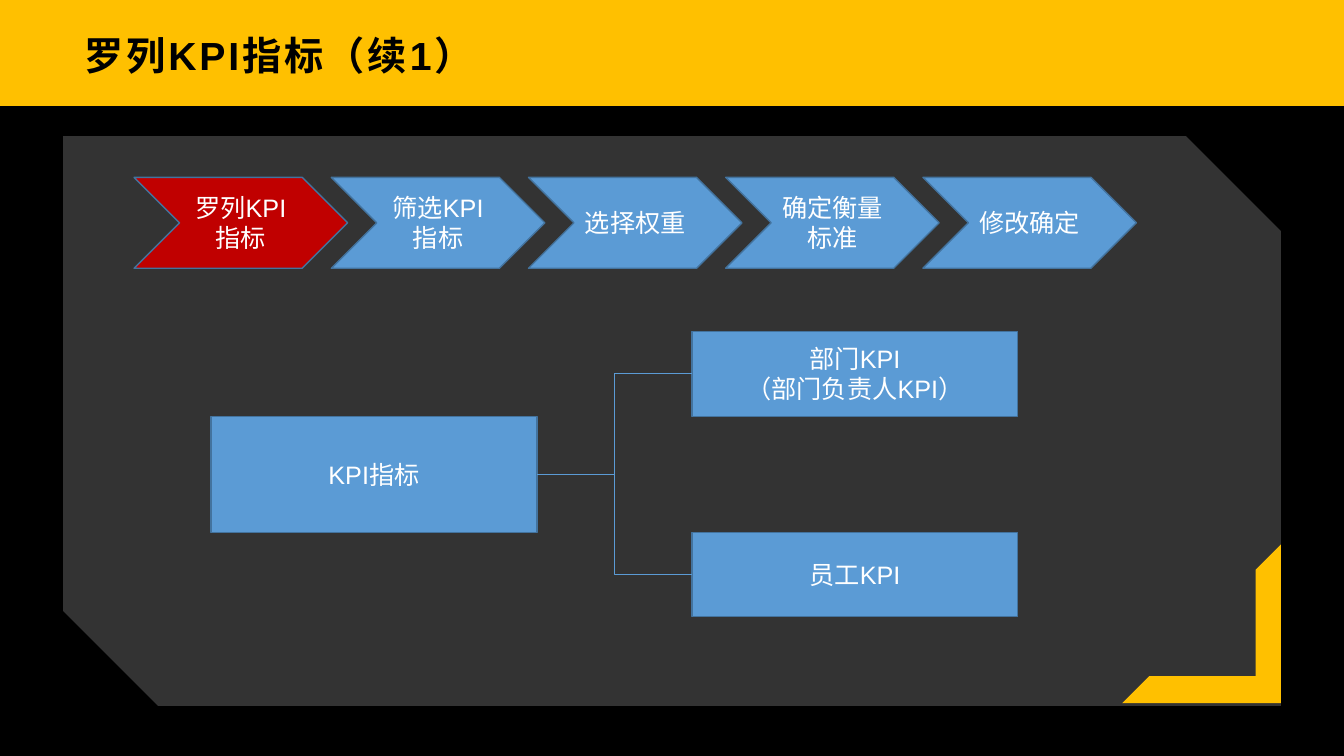
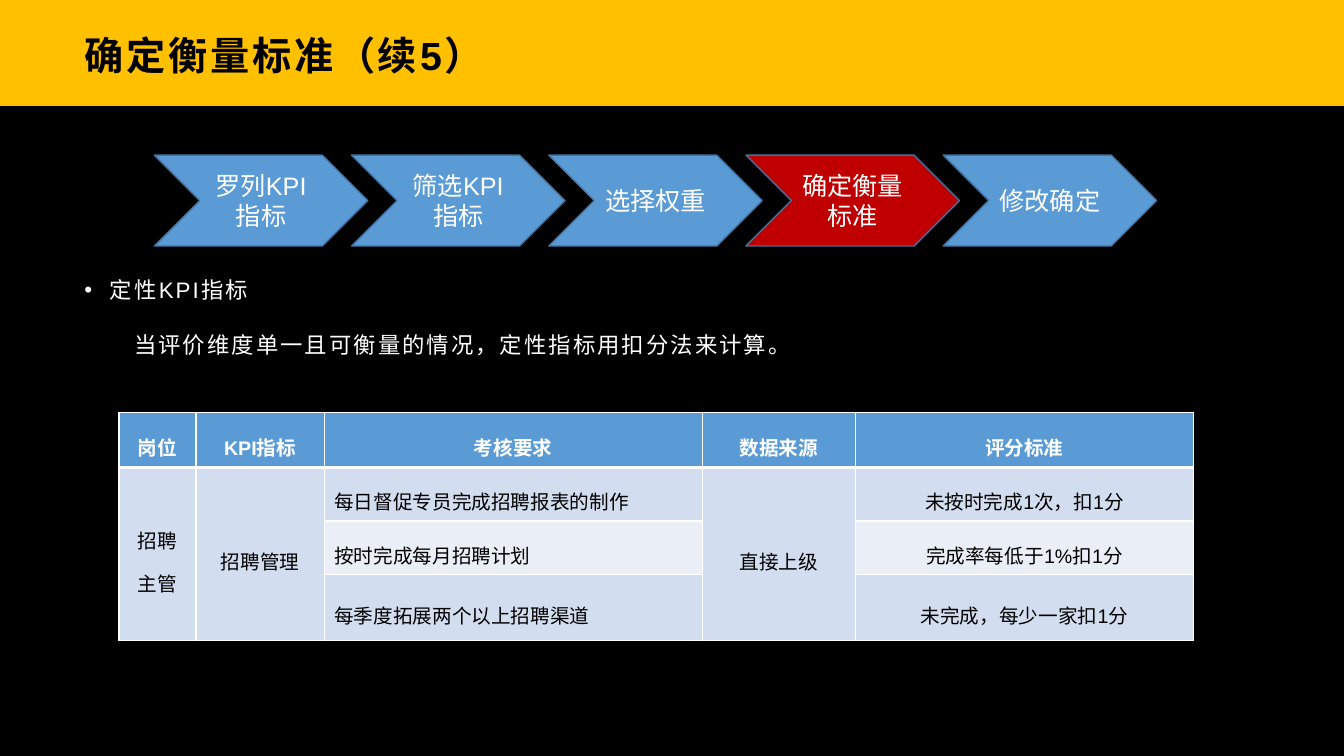
from dataclasses import dataclass

from lxml import etree
from pptx import Presentation
from pptx.dml.color import RGBColor
from pptx.enum.shapes import MSO_CONNECTOR, MSO_SHAPE
from pptx.enum.text import MSO_ANCHOR, PP_ALIGN
from pptx.oxml.ns import qn
from pptx.util import Cm, Pt

CHEVRON = MSO_SHAPE.CHEVRON
RECTANGLE = MSO_SHAPE.RECTANGLE
SNIPPED = MSO_SHAPE.SNIP_2_DIAG_RECTANGLE
HALF_FRAME = MSO_SHAPE.HALF_FRAME
ELBOW = MSO_CONNECTOR.ELBOW
LEFT, CENTER = PP_ALIGN.LEFT, PP_ALIGN.CENTER
MIDDLE, TOP = MSO_ANCHOR.MIDDLE, MSO_ANCHOR.TOP

FONT = "Arial"
YELLOW, BLACK, WHITE = "FFC000", "000000", "FFFFFF"
BLUE, BLUE_EDGE, RED = "5B9BD5", "43739E", "C00000"
BAND_DARK, BAND_LIGHT = "D2DEEF", "EAEFF7"

STEPS = ["罗列KPI指标", "筛选KPI指标", "选择权重", "确定衡量标准", "修改确定"]
STEP_PITCH = 4.97

COLUMN_WIDTHS = [1.94, 3.23, 9.53, 3.86, 8.51]
ROW_HEIGHTS = [1.39, 1.35, 1.35, 1.66]
MERGED_COLUMNS = [0, 1, 3]
REQUIREMENT_COLUMN = 2
CRITERIA = [
    ["岗位", "KPI指标", "考核要求", "数据来源", "评分标准"],
    ["招聘主管", "招聘管理", "每日督促专员完成招聘报表的制作", "直接上级", "未按时完成1次，扣1分"],
    ["", "", "按时完成每月招聘计划", "", "完成率每低于1%扣1分"],
    ["", "", "每季度拓展两个以上招聘渠道", "", "未完成，每少一家扣1分"],
]


@dataclass
class Box:
    """Position and size in centimetres."""
    left: float
    top: float
    width: float
    height: float

    def emu(self):
        return Cm(self.left), Cm(self.top), Cm(self.width), Cm(self.height)


@dataclass
class TextStyle:
    size: float
    color: str = WHITE
    bold: bool = False
    spacing: float = 0
    align: PP_ALIGN = CENTER


TITLE = TextStyle(28, BLACK, True, 2, LEFT)
LABEL = TextStyle(18)
BODY = TextStyle(16, spacing=1.5, align=LEFT)


def rgb(color: str) -> RGBColor:
    return RGBColor.from_string(color)


def style_paragraph(paragraph, style: TextStyle) -> None:
    paragraph.alignment = style.align
    for run in paragraph.runs:
        run.font.name = FONT
        run.font.size = Pt(style.size)
        run.font.bold = style.bold
        run.font.color.rgb = rgb(style.color)
        if style.spacing:
            run.font._element.set("spc", str(int(style.spacing * 100)))


def write(frame, text: str, style: TextStyle, anchor: MSO_ANCHOR = MIDDLE) -> None:
    frame.word_wrap = True
    frame.vertical_anchor = anchor
    frame.text = text
    for paragraph in frame.paragraphs:
        style_paragraph(paragraph, style)


def add_block(slide, kind: MSO_SHAPE, box: Box, fill: str, edge: str = "", text: str = ""):
    block = slide.shapes.add_shape(kind, *box.emu())
    block.shadow.inherit = False
    block.fill.solid()
    block.fill.fore_color.rgb = rgb(fill)
    if edge:
        block.line.color.rgb = rgb(edge)
        block.line.width = Pt(1)
    else:
        block.line.fill.background()
    if text:
        write(block.text_frame, text, LABEL)
    return block


def add_link(slide, start, end) -> None:
    """Elbow from the right side of one block to the left side of another."""
    link = slide.shapes.add_connector(ELBOW, 0, 0, 0, 0)
    link.begin_connect(start, 3)
    link.end_connect(end, 1)
    link.line.color.rgb = rgb(BLUE)
    link.line.width = Pt(0.5)
    etree.SubElement(link._element.spPr, qn("a:effectLst"))


def add_steps(slide, left: float, top: float, current: int) -> None:
    for index, step in enumerate(STEPS):
        box = Box(left + index * STEP_PITCH, top, 5.38, 2.29)
        add_block(slide, CHEVRON, box, RED if index == current else BLUE, BLUE_EDGE, step)


def set_background(master) -> None:
    """Yellow title band over black, with a hard edge."""
    fill = master.background.fill
    fill.gradient()
    fill.gradient_angle = 270
    for stop, color in zip(fill.gradient_stops, (YELLOW, BLACK)):
        stop.position = 0.14
        stop.color.rgb = rgb(color)


def add_titled_slide(prs, title: str):
    slide = prs.slides.add_slide(prs.slide_layouts[6])
    heading = slide.shapes.add_textbox(*Box(1.85, 0.48, 30.15, 1.8).emu()).text_frame
    heading.margin_left = Cm(0.28)
    write(heading, title, TITLE)
    return slide


def set_cell_border(cell, side: str, width: float) -> None:
    border = etree.SubElement(cell._tc.get_or_add_tcPr(), qn(f"a:ln{side}"), w=str(Pt(width)))
    fill = etree.SubElement(border, qn("a:solidFill"))
    etree.SubElement(fill, qn("a:srgbClr"), val=WHITE)


def fill_cell(cell, text: str, row: int, column: int) -> None:
    # Borders: a thick rule below the header
    top, bottom = (3 if row == 1 else 1), (3 if row == 0 else 1)
    for side, width in zip("LRTB", (1, 1, top, bottom)):
        set_cell_border(cell, side, width)
    # Fill
    if row == 0:
        color = BLUE
    elif row == 2 and column not in MERGED_COLUMNS:
        color = BAND_LIGHT
    else:
        color = BAND_DARK
    cell.fill.solid()
    cell.fill.fore_color.rgb = rgb(color)
    # Text
    cell.vertical_anchor = MIDDLE
    cell.text = text
    header = row == 0
    align = LEFT if column == REQUIREMENT_COLUMN and not header else CENTER
    paragraph = cell.text_frame.paragraphs[0]
    style_paragraph(paragraph, TextStyle(14, WHITE if header else BLACK, header, align=align))
    paragraph.line_spacing = 1.5


def add_criteria_table(slide) -> None:
    box = Box(3, 10.39, sum(COLUMN_WIDTHS), sum(ROW_HEIGHTS))
    table = slide.shapes.add_table(len(CRITERIA), len(COLUMN_WIDTHS), *box.emu()).table
    table.first_row = table.horz_banding = False
    for column, width in zip(table.columns, COLUMN_WIDTHS):
        column.width = Cm(width)
    for row, height in zip(table.rows, ROW_HEIGHTS):
        row.height = Cm(height)
    for r, texts in enumerate(CRITERIA):
        for c, text in enumerate(texts):
            fill_cell(table.cell(r, c), text, r, c)
    for c in MERGED_COLUMNS:
        table.cell(1, c).merge(table.cell(len(CRITERIA) - 1, c))


def add_explanation(slide) -> None:
    frame = slide.shapes.add_textbox(*Box(1.85, 6.63, 30.15, 3).emu()).text_frame
    frame.margin_left, frame.margin_top = Cm(0.28), 0
    frame.text = "定性KPI指标\n当评价维度单一且可衡量的情况，定性指标用扣分法来计算。"
    point, detail = frame.paragraphs
    point_properties = point._p.get_or_add_pPr()
    point_properties.set("marL", str(Cm(0.64)))
    point_properties.set("indent", str(-Cm(0.64)))
    etree.SubElement(point_properties, qn("a:buFont"), typeface=FONT)
    etree.SubElement(point_properties, qn("a:buChar"), char="•")
    detail._p.get_or_add_pPr().set("marL", str(Cm(1.25)))
    frame.word_wrap = True
    frame.vertical_anchor = TOP
    for paragraph in (point, detail):
        style_paragraph(paragraph, BODY)
        paragraph.line_spacing = 1.5
        paragraph.space_after = Pt(10)


def build_listing_slide(prs) -> None:
    slide = add_titled_slide(prs, "罗列KPI指标（续1）")
    # Translucent panel
    panel = add_block(slide, SNIPPED, Box(1.59, 3.43, 30.69, 14.36), WHITE)
    tint = panel.fill._xPr.find(qn("a:solidFill"))[0]
    etree.SubElement(tint, qn("a:alpha"), val="20000")
    add_steps(slide, 3.38, 4.47, 0)
    # KPI tree
    root = add_block(slide, RECTANGLE, Box(5.32, 10.49, 8.21, 2.93), BLUE, BLUE_EDGE, "KPI指标")
    branches = [
        (Box(17.44, 8.35, 8.21, 2.14), "部门KPI\n（部门负责人KPI）"),
        (Box(17.44, 13.42, 8.21, 2.12), "员工KPI"),
    ]
    for box, text in branches:
        add_link(slide, root, add_block(slide, RECTANGLE, box, BLUE, BLUE_EDGE, text))
    # Corner accent
    corner = add_block(slide, HALF_FRAME, Box(28.28, 13.72, 4, 4), YELLOW)
    corner.adjustments[0], corner.adjustments[1] = 0.17, 0.16
    corner.rotation = 180


def build_standard_slide(prs) -> None:
    slide = add_titled_slide(prs, "确定衡量标准（续5）")
    add_explanation(slide)
    add_steps(slide, 3.89, 3.91, 3)
    add_criteria_table(slide)


def main() -> None:
    prs = Presentation()
    prs.slide_width, prs.slide_height = Cm(33.87), Cm(19.05)
    set_background(prs.slide_master)
    build_listing_slide(prs)
    build_standard_slide(prs)
    prs.save("out.pptx")


if __name__ == "__main__":
    main()
